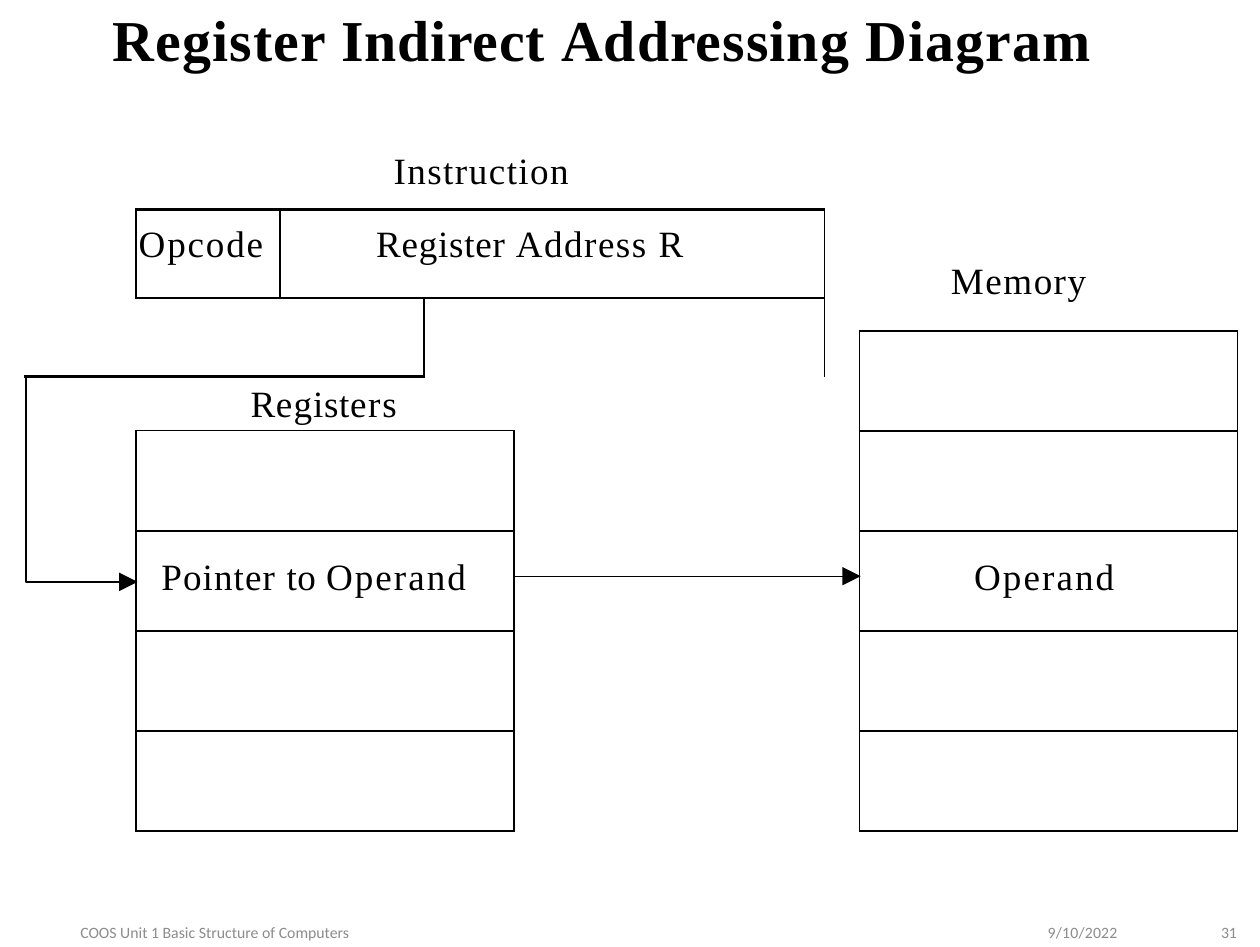
from lxml.etree import SubElement
from pptx import Presentation
from pptx.dml.color import RGBColor
from pptx.enum.shapes import MSO_CONNECTOR as Connector
from pptx.enum.text import MSO_ANCHOR as Anchor, PP_ALIGN as Align
from pptx.oxml.ns import qn
from pptx.util import Cm, Pt

BLACK = RGBColor(0x00, 0x00, 0x00)
LINE = RGBColor(0x01, 0x01, 0x01)
GREY = RGBColor(0x8C, 0x8C, 0x8C)
SERIF, SANS = "Times New Roman", "Calibri"
PLAIN_GRID = "{2D5ABB26-0587-4C30-8999-92F81FD0307C}"
SIDES = {"l": "a:lnL", "r": "a:lnR", "t": "a:lnT", "b": "a:lnB"}
FULL = {"l": 1, "r": 1, "t": 1.5, "b": 1.5}
ROW_HEIGHT = 1.905
STACK_WIDTH = 7.19
LABEL_HEIGHT = 0.91


def add_spans(para, spans, size=20, font=SERIF, color=BLACK, bold=False):
    """Each span is a pair: text, letter spacing in points."""
    for text, spacing in spans:
        span = para.add_run()
        span.text = text
        span.font.size, span.font.name = Pt(size), font
        span.font.color.rgb, span.font.bold = color, bold
        span._r.get_or_add_rPr().set("spc", str(round(spacing * 100)))


def add_text(page, box, spans, align=Align.LEFT, anchor=Anchor.TOP, leading=None, **style):
    frame = page.shapes.add_textbox(*map(Cm, box)).text_frame
    frame.word_wrap = True
    frame.margin_left = frame.margin_right = frame.margin_bottom = 0
    frame.margin_top = Cm(0.03) if leading is None else 0
    frame.vertical_anchor = anchor
    para = frame.paragraphs[0]
    para.alignment, para.line_spacing = align, leading
    add_spans(para, spans, **style)


def add_grid(page, left, top, widths, heights):
    table = page.shapes.add_table(
        len(heights), len(widths), Cm(left), Cm(top), Cm(sum(widths)), Cm(sum(heights))
    ).table
    table.first_row = table.horz_banding = False
    table._tbl.tblPr.find(qn("a:tableStyleId")).text = PLAIN_GRID
    for column, width in zip(table.columns, widths):
        column.width = Cm(width)
    for row, height in zip(table.rows, heights):
        row.height = Cm(height)
    return table


def set_borders(cell, borders):
    cell.fill.background()
    properties = cell._tc.get_or_add_tcPr()
    for position, side in enumerate(side for side in SIDES if side in borders):
        edge = SubElement(properties, qn(SIDES[side]), w=str(Pt(borders[side])))
        fill = SubElement(edge, qn("a:solidFill"))
        SubElement(fill, qn("a:srgbClr"), val=str(LINE))
        properties.insert(position, edge)


def fill_cell(cell, indent, top, spans):
    cell.margin_left, cell.margin_top = Cm(indent), Cm(top)
    cell.margin_right = cell.margin_bottom = 0
    add_spans(cell.text_frame.paragraphs[0], spans)


def style_arrow(shape, width):
    shape.line.color.rgb, shape.line.width = LINE, Pt(width)
    SubElement(shape.line._get_or_add_ln(), qn("a:tailEnd"), type="triangle", w="lg", len="lg")


def add_instruction(page, left, top):
    """Instruction word, with the open cell below it that starts the pointer."""
    add_text(page, (left + 7.03, top - 1.22, 3.43, LABEL_HEIGHT), [("Instruction", 0.8)])
    table = add_grid(page, left, top, [2.13, 2.74, 2.74, 7.62], [1.68, 1.5])
    table.cell(0, 2).merge(table.cell(0, 3))
    table.cell(1, 0).merge(table.cell(1, 2))
    edges = {
        (0, 0): {"r": 1},
        (0, 1): {"l": 1, "t": 1.5, "r": 1, "b": 1},
        (0, 2): {"l": 1, "t": 1.5, "r": 1, "b": 1},
        (0, 3): {"t": 1.5, "r": 1, "b": 1},
        (1, 0): {"r": 1, "b": 1.5},
        (1, 1): {"b": 1.5},
        (1, 2): {"r": 1, "b": 1.5},
        (1, 3): {"l": 1, "t": 1},
    }
    for place, borders in edges.items():
        set_borders(table.cell(*place), borders)
    fill_cell(table.cell(0, 1), 0.05, 0.28, [("Opcode", 1)])
    fill_cell(table.cell(0, 2), 1.83, 0.28,
              [("Register ", 0.4), ("Address ", 0.8), ("R", -0.1)])


def add_stack(page, left, top, count, first_top, label_box, label, row, indent, spans):
    """Column of equal cells with a label above and one named cell."""
    dx, dy, width = label_box
    add_text(page, (left + dx, top + dy, width, LABEL_HEIGHT), label)
    table = add_grid(page, left, top, [STACK_WIDTH], [ROW_HEIGHT] * count)
    for index in range(count):
        borders = dict(FULL)
        if index == 0:
            borders["t"] = first_top
        if index == count - 1:
            borders["b"] = 1
        set_borders(table.cell(index, 0), borders)
    fill_cell(table.cell(row, 0), indent, 0.51, spans)


def add_arrows(page):
    # From the instruction to the register
    builder = page.shapes.build_freeform(Cm(0.5), Cm(7.15))
    builder.add_line_segments([(Cm(0.5), Cm(11.08)), (Cm(2.62), Cm(11.08))], close=False)
    pointer = builder.convert_to_shape()
    pointer.shadow.inherit = False
    pointer.fill.background()
    style_arrow(pointer, 1)
    # From the register to memory
    link = page.shapes.add_connector(Connector.STRAIGHT, Cm(9.8), Cm(10.97), Cm(16.38), Cm(10.97))
    style_arrow(link, 0.75)
    SubElement(link._element.spPr, qn("a:effectLst"))


def add_footer(page, top):
    parts = [
        (0, 8.18, "COOS Unit 1 Basic Structure of Computers", 0, Align.CENTER),
        (19.94, 4.04, "9/10/2022", 0.1, Align.LEFT),
        (22.83, 0.71, "31", -0.1, Align.RIGHT),
    ]
    for left, width, text, spacing, align in parts:
        add_text(page, (left, top, width, 0.61), [(text, spacing)], align, Anchor.MIDDLE,
                 Pt(16.2), size=8.5, font=SANS, color=GREY)


def main():
    deck = Presentation()
    deck.slide_width, deck.slide_height = Cm(23.98), Cm(18.03)
    page = deck.slides.add_slide(deck.slide_layouts[6])
    # Title
    add_text(page, (2.15, 0.03, 19.33, 1.37),
             [("Register ", 0.6), ("Indirect ", 0.4), ("Addressing Diagram", 0.6)],
             anchor=Anchor.MIDDLE, size=31.2, bold=True)
    # Diagram
    add_instruction(page, 0.46, 3.99)
    add_stack(page, 16.36, 6.3, 5, 1.5, (1.74, -1.42, 2.69), [("Memory", 0.8)],
              2, 2.18, [("Operand", 1.1)])
    add_stack(page, 2.59, 8.2, 4, 1, (2.18, -0.99, 2.87),
              [("R", 0.3), ("e", 0.6), ("g", 0.5), ("i", 0.4), ("st", 0.3), ("er", 0.9), ("s", -0.1)],
              1, 0.48, [("Pointer ", 0.6), ("to ", 0.2), ("Operand", 1.1)])
    add_arrows(page)
    add_footer(page, 17.33)
    deck.save("out.pptx")


if __name__ == "__main__":
    main()
